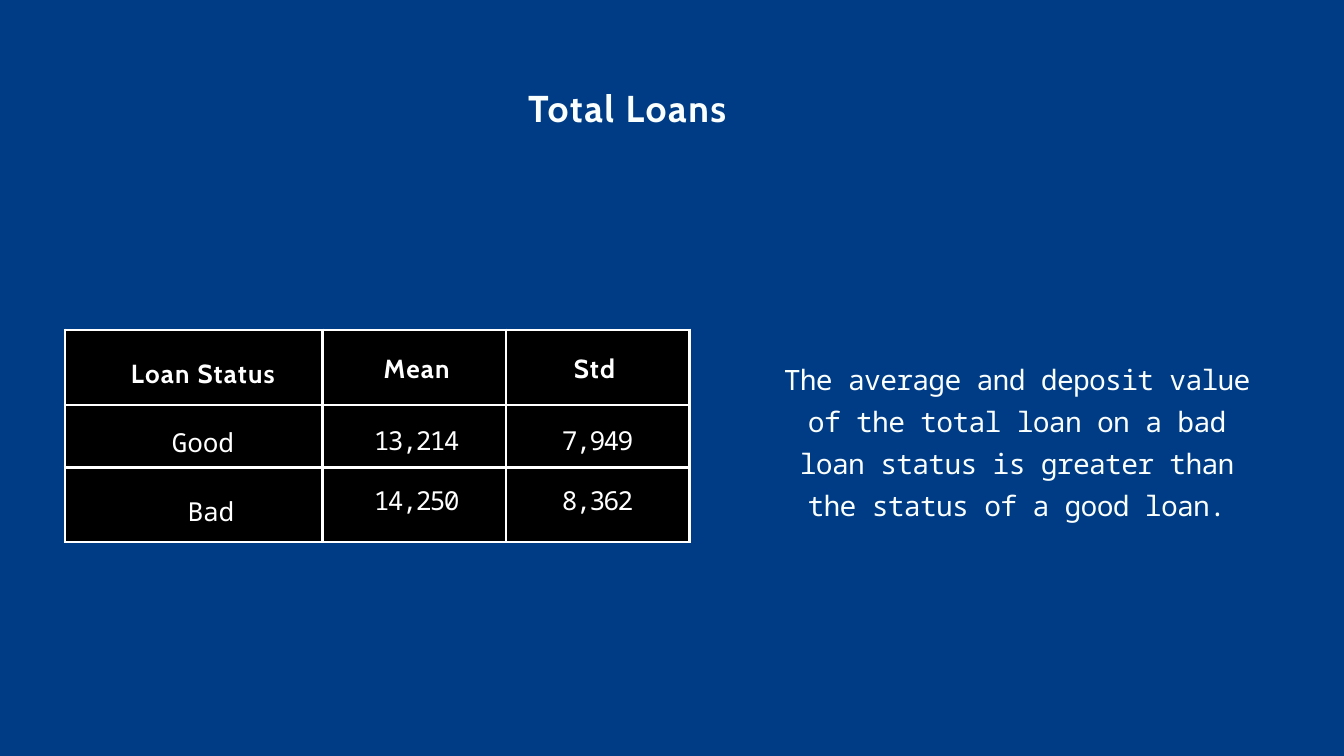
from lxml import etree
from pptx import Presentation
from pptx.dml.color import RGBColor
from pptx.enum import shapes, text
from pptx.oxml import ns
from pptx.util import Inches, Pt

BLUE = RGBColor(0x00, 0x3C, 0x86)
BLACK = RGBColor(0x00, 0x00, 0x00)
WHITE = RGBColor(0xFF, 0xFF, 0xFF)
SOFT_WHITE = RGBColor(0xFA, 0xFF, 0xFE)
HEAD_FONT, BODY_FONT = "Cabin", "Noto Sans Mono"
LEFT, CENTER = text.PP_ALIGN.LEFT, text.PP_ALIGN.CENTER


def format_runs(p, font, size, color, spacing, bold=False):
    """Format every run of a paragraph; spacing is the tracking in points."""
    for r in p.runs:
        r.font.name = font
        r.font.size = Pt(size)
        r.font.bold = bold
        r.font.color.rgb = color
        r.font._element.set("spc", str(round(spacing * 100)))


def set_frame(sp, top_margin):
    tf = sp.text_frame
    tf.word_wrap = True
    tf.auto_size = text.MSO_AUTO_SIZE.NONE
    tf.vertical_anchor = text.MSO_ANCHOR.TOP
    tf.margin_left = tf.margin_right = tf.margin_bottom = 0
    tf.margin_top = Inches(top_margin)


prs = Presentation()
prs.slide_width, prs.slide_height = Inches(20), Inches(11.25)
s = prs.slides.add_slide(prs.slide_layouts[5])

# Backdrop, placed behind the title
backdrop = s.shapes.add_shape(
    shapes.MSO_SHAPE.RECTANGLE, 0, 0, prs.slide_width, prs.slide_height)
backdrop.shadow.inherit = False
backdrop.fill.solid()
backdrop.fill.fore_color.rgb = BLUE
backdrop.line.fill.background()
s.shapes._spTree.insert(2, backdrop._element)

# Title
title = s.shapes.title
title.left, title.top = Inches(7.86), Inches(1.25)
title.width, title.height = Inches(4.29), Inches(0.69)
set_frame(title, 0.02)
title.text_frame.text = "Total Loans"
p = title.text_frame.paragraphs[0]
p.alignment = LEFT
format_runs(p, HEAD_FONT, 40, SOFT_WHITE, 1.7, bold=True)

# Table grid
grid = s.shapes.add_table(3, 3, Inches(0.97), Inches(4.91), Inches(9.29), Inches(3.16))
table = grid.table
for column, width in zip(table.columns, (3.83, 2.73, 2.73)):
    column.width = Inches(width)
for row, height in zip(table.rows, (1.12, 0.93, 1.11)):
    row.height = Inches(height)
for cell in table.iter_cells():
    cell.fill.solid()
    cell.fill.fore_color.rgb = BLACK
    tcPr = cell._tc.get_or_add_tcPr()
    for i, side in enumerate(("lnL", "lnR", "lnT", "lnB")):
        ln = etree.Element(ns.qn(f"a:{side}"), w=str(Pt(3)))
        fill = etree.SubElement(ln, ns.qn("a:solidFill"))
        etree.SubElement(fill, ns.qn("a:srgbClr"), val=str(WHITE))
        tcPr.insert(i, ln)

# Column texts over the grid: box, alignment, tracking of the values, and
# for each line its text, its left indent (inches) and the space before (points)
columns = [
    ((1.43, 5.29, 3.18, 2.55), CENTER, -0.2,
     [("Loan Status", 0, 0), ("Good", 0, 40), ("Bad", 0.24, 41)]),
    ((5.28, 5.21, 1.84, 2.59), CENTER, -1.8,
     [("Mean", 0, 0), ("13,214", 0, 43.5), ("14,250", 0, 30.5)]),
    ((7.85 + 0.51, 5.21, 1.31, 2.59), LEFT, -1.8,
     [("Std", 0.18, 0), ("7,949", 0, 43.5), ("8,362", 0, 30.5)]),
]
for box, alignment, spacing, lines in columns:
    sp = s.shapes.add_textbox(*map(Inches, box))
    set_frame(sp, 0.03)
    sp.text_frame.text = "\n".join(label for label, _, _ in lines)
    for i, (p, (_, indent, gap)) in enumerate(zip(sp.text_frame.paragraphs, lines)):
        p.alignment = alignment
        p.space_before = Pt(gap)
        p._p.get_or_add_pPr().set("marL", str(Inches(indent)))
        if i == 0:
            format_runs(p, HEAD_FONT, 28, WHITE, 1.3, bold=True)
        else:
            format_runs(p, BODY_FONT, 28, WHITE, spacing)

# Finding
finding = s.shapes.add_textbox(Inches(11.48), Inches(5.26), Inches(7.3), Inches(3.15))
set_frame(finding, 0.01)
finding.text_frame.text = (
    "The average and deposit value of the total loan on a bad loan status "
    "is greater than the status of a good loan."
)
p = finding.text_frame.paragraphs[0]
p.alignment = CENTER
p.line_spacing = 1.25
p.space_before = Pt(1)
format_runs(p, BODY_FONT, 30, SOFT_WHITE, -0.8)

prs.save("out.pptx")
